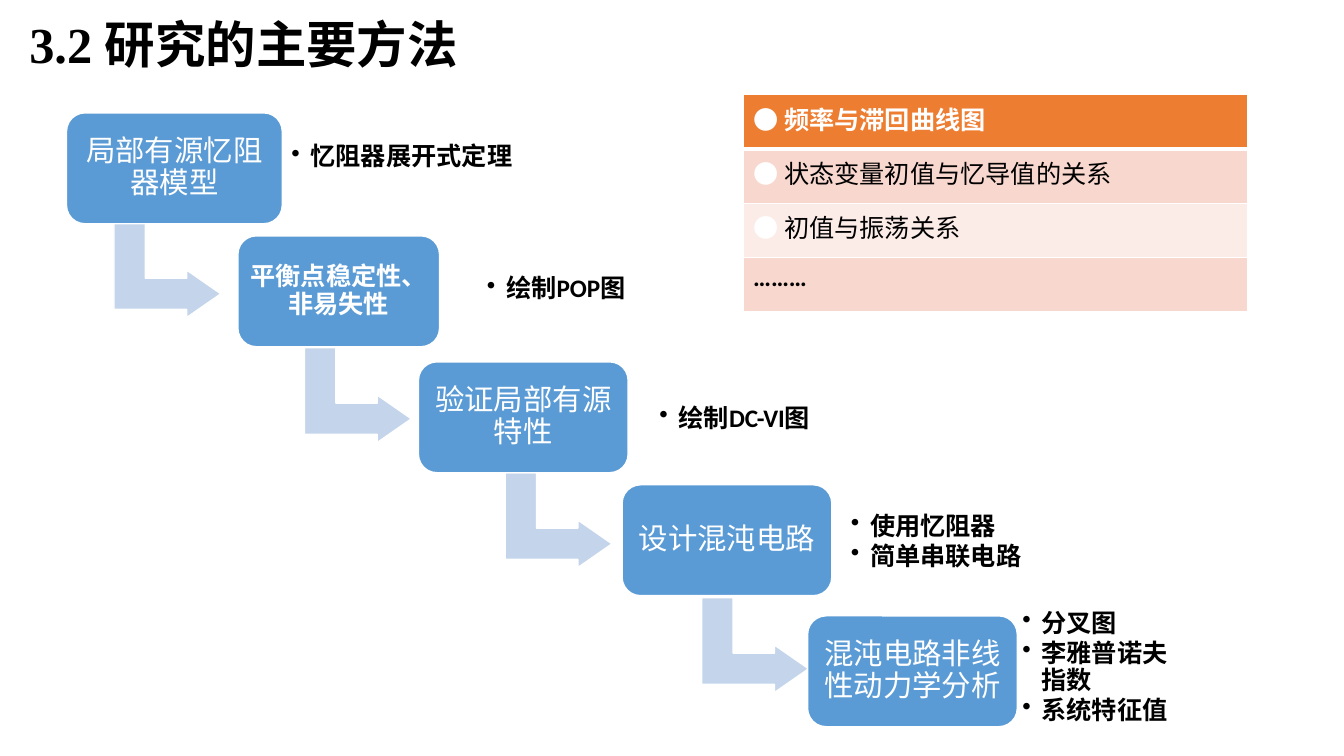
from lxml import etree
from pptx import Presentation
from pptx import util as u
from pptx.dml.color import RGBColor
from pptx.enum import shapes, text
from pptx.oxml import ns

# Content
TITLE = "3.2 研究的主要方法"
# Lengths are in grid units; the slide has 133.3 columns and 75 rows
STEPS = [
    {"label": "局部有源忆阻器模型", "box": (6.6, 11.2, 21.4),
     "methods": ["忆阻器展开式定理"], "area": (28.2, 10.8, 32.8, 9.7)},
    {"label": "平衡点稳定性、非易失性", "box": (23.6, 23.4, 20), "strong": True,
     "methods": ["绘制POP图"], "area": (47.6, 24.3, 16.9, 8.9)},
    {"label": "验证局部有源特性", "box": (41.5, 35.9, 20.8),
     "methods": ["绘制DC-VI图"], "area": (64.7, 37.1, 17.5, 8.9)},
    {"label": "设计混沌电路", "box": (61.7, 48.1, 20.8),
     "methods": ["使用忆阻器", "简单串联电路"], "area": (83.7, 49.1, 22.2, 9.4)},
    {"label": "混沌电路非线性动力学分析", "box": (80.1, 61.1, 20.8),
     "methods": ["分叉图", "李雅普诺夫指数", "系统特征值"], "area": (100.7, 61.8, 16.1, 8.9)},
]
BOX_HEIGHT = 11
ARROW_COLUMNS = [11.9, 30.8, 50.7, 70.2]
ARROW_TOP, ARROW_PITCH = 21.5, 12.4
ARROW_SIZE = (9.4, 10.6)
ARROW_SHAPE = (0.33, 0.25, 0.36)

# Each row: bullet, wording, fill, wording colour, bold, font
TOPICS = [
    ("● ", "频率与滞回曲线图", "header", "white", True, "Times New Roman"),
    ("● ", "状态变量初值与忆导值的关系", "band", "black", False, "Times New Roman"),
    ("● ", "初值与振荡关系", "light", "black", False, "Times New Roman"),
    ("", "………", "band", "black", True, "Calibri"),
]
TOPICS_AREA = (73.7, 9.4, 50, 21.5)

COLORS = {"black": "000000", "white": "FFFFFF", "step": "5B9BD5", "arrow": "C4D5EB",
          "header": "ED7D31", "band": "F8D7CE", "light": "FCECE8"}


def grid(*lengths):
    return [u.Inches(length / 10) for length in lengths]


def color(name):
    return RGBColor.from_string(COLORS[name])


def style(run, size, font, ink, bold=False):
    run.font.size, run.font.name, run.font.bold = u.Pt(size), font, bold
    run.font.color.rgb = color(ink)


def set_frame(frame, inset):
    frame.word_wrap = True
    frame.vertical_anchor = text.MSO_ANCHOR.MIDDLE
    frame.margin_left = frame.margin_right = u.Inches(inset)
    frame.margin_top = frame.margin_bottom = u.Inches(inset)


def add_block(kind, area, fill):
    block = slide.shapes.add_shape(kind, *grid(*area))
    block.shadow.inherit = False
    block.fill.solid()
    block.fill.fore_color.rgb = color(fill)
    block.line.color.rgb = color("white")
    block.line.width = u.Pt(1)
    return block


def add_bullet(paragraph):
    props = paragraph._p.get_or_add_pPr()
    props.set("marL", str(u.Inches(0.19)))
    props.set("indent", str(-u.Inches(0.19)))
    etree.SubElement(props, ns.qn("a:buChar")).set("char", "•")


def add_borders(cell, bottom):
    props = cell._tc.get_or_add_tcPr()
    for index, side in enumerate(("lnL", "lnR", "lnT", "lnB")):
        width = bottom if side == "lnB" else 1
        line = etree.Element(ns.qn(f"a:{side}"), w=str(u.Pt(width)))
        fill = etree.SubElement(line, ns.qn("a:solidFill"))
        etree.SubElement(fill, ns.qn("a:srgbClr")).set("val", COLORS["white"])
        props.insert(index, line)


# Slide and title
deck = Presentation()
deck.slide_width, deck.slide_height = u.Inches(13.33), u.Inches(7.5)
slide = deck.slides.add_slide(deck.slide_layouts[5])
title = slide.shapes.title
title.left, title.top, title.width, title.height = grid(1.9, 0.8, 123.7, 7.1)
title.text_frame.text = TITLE
title.text_frame.vertical_anchor = text.MSO_ANCHOR.MIDDLE
heading = title.text_frame.paragraphs[0]
heading.alignment = text.PP_ALIGN.LEFT
style(heading.runs[0], 36, "Times New Roman", "black", True)

# Arrows leading down the staircase
for index, left in enumerate(ARROW_COLUMNS):
    top = ARROW_TOP + index * ARROW_PITCH
    arrow = add_block(shapes.MSO_SHAPE.BENT_UP_ARROW, (left, top, *ARROW_SIZE), "arrow")
    arrow.rotation = 90
    for position, share in enumerate(ARROW_SHAPE):
        arrow.adjustments[position] = share

# Steps and their methods
for step in STEPS:
    strong = step.get("strong", False)
    box = add_block(shapes.MSO_SHAPE.ROUNDED_RECTANGLE, (*step["box"], BOX_HEIGHT), "step")
    set_frame(box.text_frame, 0.04)
    box.text_frame.text = step["label"]
    label = box.text_frame.paragraphs[0]
    label.alignment = text.PP_ALIGN.CENTER
    label.line_spacing = 0.9
    style(label.runs[0], 18 if strong else 21, "Roboto" if strong else "Calibri",
          "white", strong)

    methods = slide.shapes.add_textbox(*grid(*step["area"])).text_frame
    set_frame(methods, 0.07)
    methods.text = "\n".join(step["methods"])
    for method in methods.paragraphs:
        method.line_spacing = 0.9
        method.space_after = u.Pt(2)
        add_bullet(method)
        style(method.runs[0], 18, "Roboto" if step is STEPS[0] else "Calibri", "black", True)

# Table of topics
topics = slide.shapes.add_table(len(TOPICS), 1, *grid(*TOPICS_AREA)).table
topics.horz_banding = False
for index, (bullet, wording, fill, ink, bold, font) in enumerate(TOPICS):
    cell = topics.cell(index, 0)
    cell.fill.solid()
    cell.fill.fore_color.rgb = color(fill)
    add_borders(cell, 3 if index == 0 else 1)
    topic = cell.text_frame.paragraphs[0]
    for part, part_ink in ((bullet, "white"), (wording, ink)):
        if part:
            run = topic.add_run()
            run.text = part
            style(run, 18, font, part_ink, bold)

deck.save("out.pptx")
